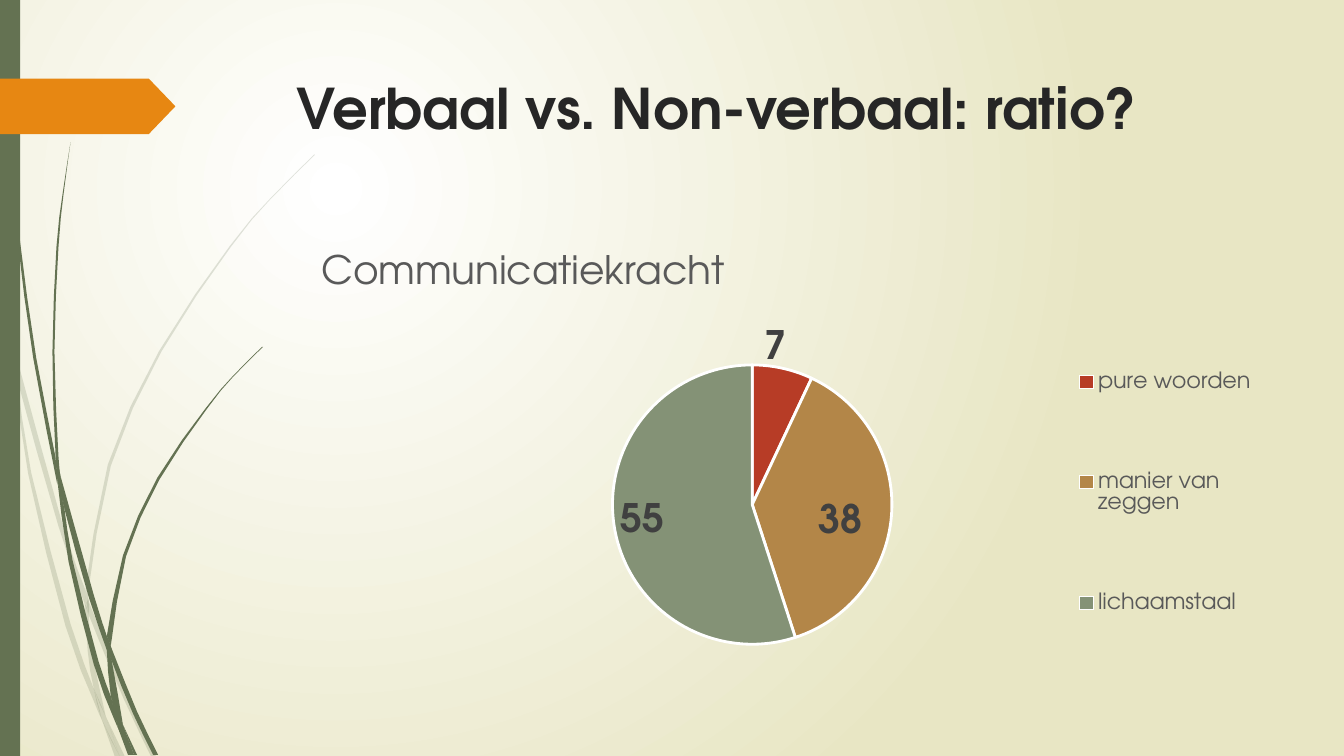
from lxml.etree import SubElement as Sub
from pptx import Presentation
from pptx.chart.data import CategoryChartData as Data
from pptx.dml.color import RGBColor as RGB
from pptx.enum.chart import XL_CHART_TYPE as Kind, XL_LABEL_POSITION as Spot
from pptx.enum.chart import XL_LEGEND_POSITION as Side
from pptx.enum.shapes import MSO_SHAPE as Form
from pptx.enum.text import MSO_ANCHOR as Anchor, PP_ALIGN as Align
from pptx.oxml.ns import qn
from pptx.util import Inches, Pt

# Content
TITLE = "Verbaal vs. Non-verbaal: ratio?"
HEAD = "Communicatiekracht"
# name, value, colour, label shift as a share of the chart
PARTS = [
    ("pure woorden", 7, "B73C26", (-0.02, 0.01)),
    ("manier van zeggen", 38, "B38648", (-0.08, 0.02)),
    ("lichaamstaal", 55, "849276", (0, 0)),
]
FACE = "TeX Gyre Adventor"
GREEN, ORANGE, GREY = "647252", "E78712", "595959"

# Grass: the two edges of each piece of a blade, both from top to bottom
PALE = [
    ([(0, 2.99), (0.1, 3.44), (0.11, 3.5)], [(0, 2.82), (0.09, 3.22), (0.11, 3.5)]),
    ([(0.14, 3.45), (0.17, 3.76), (0.58, 5.22), (0.84, 5.99)],
     [(0.14, 3.45), (0.62, 5.2), (0.85, 5.86)]),
    ([(0.88, 5.96), (0.88, 6.1), (1.23, 6.94), (1.5, 7.51)],
     [(0.88, 5.96), (0.92, 6.07), (1.27, 6.92), (1.55, 7.51)]),
    ([(1.05, 7.11), (1.19, 7.51)], [(1.05, 7.11), (1.24, 7.51)]),
    ([(0.11, 3.5), (0.28, 4.7), (0.65, 6.21), (0.92, 6.93), (1.01, 7.14)],
     [(0.11, 3.5), (0.17, 3.76), (0.31, 4.69), (0.7, 6.19), (0.93, 6.83), (1.01, 7.14)]),
    ([(0.84, 5.99), (0.87, 6.46), (0.93, 6.83), (1.05, 7.11)],
     [(0.84, 5.99), (0.88, 6.1), (0.91, 6.46), (1.05, 7.11)]),
    ([(3.12, 1.53), (2.68, 1.97), (2.28, 2.44), (1.58, 3.48), (1.07, 4.61), (0.85, 5.84)],
     [(3.12, 1.54), (2.68, 1.98), (2.29, 2.45), (1.6, 3.49), (1.1, 4.62), (0.88, 5.84),
      (0.88, 5.96)]),
    ([(1.01, 7.14), (1.14, 7.51)], [(1.01, 7.14), (1.19, 7.51)]),
    ([(0.85, 5.86), (0.84, 5.99)], [(0.85, 5.86), (0.88, 5.96), (0.88, 6.1)]),
    ([(0.93, 6.83), (1.01, 7.14), (1.19, 7.51)], [(0.93, 6.83), (1.05, 7.11), (1.19, 7.51)]),
]
DARK = [
    ([(0.03, 0), (0.07, 1.1), (0.17, 2.33), (0.33, 3.55), (0.57, 4.81)],
     [(0.04, 0), (0.08, 1.09), (0.19, 2.32), (0.36, 3.55), (0.55, 4.53), (0.57, 4.81)]),
    ([(0.6, 4.72), (0.64, 5.05), (0.88, 5.92), (1.06, 6.45)],
     [(0.6, 4.72), (0.93, 5.9), (1.06, 6.31)]),
    ([(1.1, 6.41), (1.11, 6.56), (1.32, 7.08), (1.52, 7.49)],
     [(1.1, 6.41), (1.13, 6.49), (1.36, 7.06), (1.57, 7.49)]),
    ([(0.57, 4.77), (0.68, 5.57), (0.93, 6.59), (1.11, 7.08), (1.17, 7.22)],
     [(0.57, 4.77), (0.64, 5.05), (0.72, 5.56), (0.98, 6.57), (1.1, 6.91), (1.17, 7.22)]),
    ([(0.7, 1.41), (0.62, 1.93), (0.56, 2.45), (0.52, 3.49), (0.55, 4.49), (0.6, 4.72)],
     [(0.7, 1.41), (0.63, 1.93), (0.58, 2.45), (0.54, 3.49), (0.58, 4.53), (0.6, 4.72)]),
    ([(1.22, 7.19), (1.33, 7.49)], [(1.22, 7.19), (1.36, 7.49)]),
    ([(0.55, 4.49), (0.57, 4.77), (0.64, 5.05)], [(0.55, 4.49), (0.6, 4.72), (0.64, 5.05)]),
    ([(2.6, 3.44), (2.31, 3.73), (2.04, 4.05), (1.56, 4.74), (1.22, 5.51), (1.06, 6.31)],
     [(2.61, 3.44), (2.31, 3.74), (2.05, 4.06), (1.58, 4.76), (1.25, 5.52), (1.11, 6.33),
      (1.1, 6.41)]),
    ([(1.17, 7.22), (1.27, 7.49)], [(1.17, 7.22), (1.31, 7.49)]),
    ([(1.06, 6.45), (1.1, 6.91), (1.22, 7.19)], [(1.06, 6.45), (1.11, 6.56), (1.22, 7.19)]),
    ([(1.06, 6.31), (1.06, 6.45)], [(1.06, 6.31), (1.1, 6.41), (1.11, 6.56)]),
    ([(1.1, 6.91), (1.17, 7.22), (1.3, 7.49)], [(1.1, 6.91), (1.22, 7.19), (1.33, 7.49)]),
]


def tint(code):
    return RGB.from_string(code)


def style(font, size, code, bold=False):
    font.name, font.size, font.bold = FACE, Pt(size), bold
    font.color.rgb = tint(code)


def paint(shape, code, alpha=None):
    shape.shadow.inherit = False
    shape.fill.solid()
    shape.fill.fore_color.rgb = tint(code)
    shape.line.fill.background()
    if alpha:
        clr = shape.element.spPr.find(".//" + qn("a:srgbClr"))
        Sub(clr, qn("a:alpha")).set("val", str(alpha * 1000))


def smooth(knots):
    """Add the middle of a Catmull-Rom curve between each two knots."""
    ends = [knots[0], *knots, knots[-1]]
    out = []
    for a, b, c, d in zip(ends, ends[1:], ends[2:], ends[3:]):
        out += [b, [(9 * (q + r) - p - s) / 16 for p, q, r, s in zip(a, b, c, d)]]
    return out + [knots[-1]]


def blade(left, right, alpha=None):
    edge = [(Inches(x), Inches(y)) for x, y in smooth(left) + smooth(right)[::-1]]
    pen = slide.shapes.build_freeform(*edge[0])
    pen.add_line_segments(edge[1:], close=True)
    paint(pen.convert_to_shape(), GREEN, alpha)


def place(node, x, y, w=None, h=None, inner=False, shift=False):
    """Give a chart part a fixed spot, in shares of the chart."""
    for old in node.findall(qn("c:layout")):
        node.remove(old)
    lay = Sub(node, qn("c:layout"))
    man = Sub(lay, qn("c:manualLayout"))
    rows = [("layoutTarget", "inner")] if inner else []
    if not shift:
        rows += [("xMode", "edge"), ("yMode", "edge")]
    rows += [("x", x), ("y", y)]
    if w:
        rows += [("w", w), ("h", h)]
    for tag, val in rows:
        Sub(man, qn("c:" + tag)).set("val", str(val))
    return lay


deck = Presentation()
deck.slide_width, deck.slide_height = Inches(13.33), Inches(7.5)
slide = deck.slides.add_slide(deck.slide_layouts[5])

# Background: round glow
fill = slide.background.fill
fill.gradient()
for stop, pos, code in zip(fill.gradient_stops, (0, 1), ("FFFFFF", "E8E6C4")):
    stop.position, stop.color.rgb = pos, tint(code)
grad = slide.element.find(".//" + qn("a:gradFill"))
grad.remove(grad.find(qn("a:lin")))
glow = Sub(grad, qn("a:path"))
glow.set("path", "circle")
rect = Sub(glow, qn("a:fillToRect"))
for key, val in zip("ltrb", (50, 50, 100, 100)):
    rect.set(key, str(val * 1000))

# Grass, side bar and arrow
for edges in PALE:
    blade(*edges, alpha=20)
for edges in DARK:
    blade(*edges)
bar = slide.shapes.add_shape(Form.RECTANGLE, 0, 0, Inches(0.2), Inches(7.5))
paint(bar, GREEN)
arrow = slide.shapes.add_shape(Form.PENTAGON, 0, Inches(0.78), Inches(1.74), Inches(0.55))
arrow.adjustments[0] = 0.48
paint(arrow, ORANGE)

# Title
title = slide.shapes.title
title.left, title.top = Inches(2.84), Inches(0.68)
title.width, title.height = Inches(9.75), Inches(1.4)
frame = title.text_frame
frame.vertical_anchor = Anchor.TOP
para = frame.paragraphs[0]
para.alignment = Align.LEFT
run = para.add_run()
run.text = TITLE
style(run.font, 40, "262626", True)

# Pie chart
data = Data()
data.categories = [part[0] for part in PARTS]
data.add_series(HEAD, [part[1] for part in PARTS])
chart = slide.shapes.add_chart(Kind.PIE, Inches(2.83), Inches(2.33),
                               Inches(9.75), Inches(4.78), data).chart
style(chart.font, 10, "000000")
run = chart.chart_title.text_frame.paragraphs[0].add_run()
run.text = HEAD
style(run.font, 28, GREY)
head = chart.chart_title._element
head.find(qn("c:tx")).addnext(place(head, 0.03, 0.02))

plot = chart.plots[0]
plot.vary_by_categories = True
area = chart.element.find(".//" + qn("c:plotArea"))
area.insert(0, place(area, 0.33, 0.27, 0.29, 0.58, inner=True))
for i, (name, val, code, move) in enumerate(PARTS):
    point = plot.series[0].points[i]
    point.format.fill.solid()
    point.format.fill.fore_color.rgb = tint(code)
    point.format.line.color.rgb = tint("FFFFFF")
    point.format.line.width = Pt(2)
    style(point.data_label.font, 28, "404040", True)
    point.data_label.position = Spot.BEST_FIT
    if any(move):
        mark = chart.element.findall(".//" + qn("c:dLbl"))[i]
        mark.find(qn("c:idx")).addnext(place(mark, *move, shift=True))

# Legend
chart.has_legend = True
key = chart.legend
key.position, key.include_in_layout = Side.BOTTOM, False
style(key.font, 16, GREY)
box = key._element
box.find(qn("c:legendPos")).addnext(place(box, 0.8, 0.12, 0.19, 0.83))

deck.save("out.pptx")
